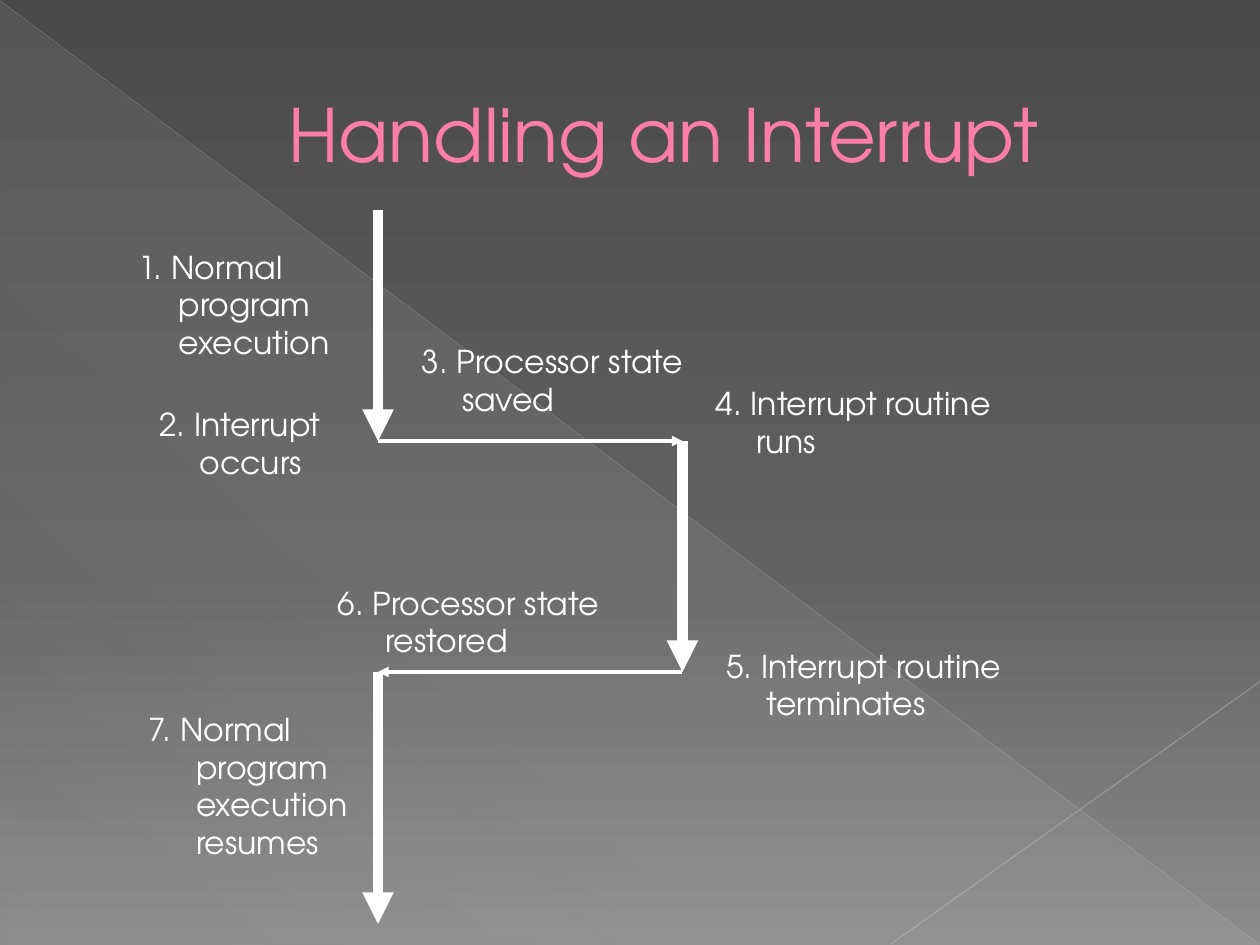
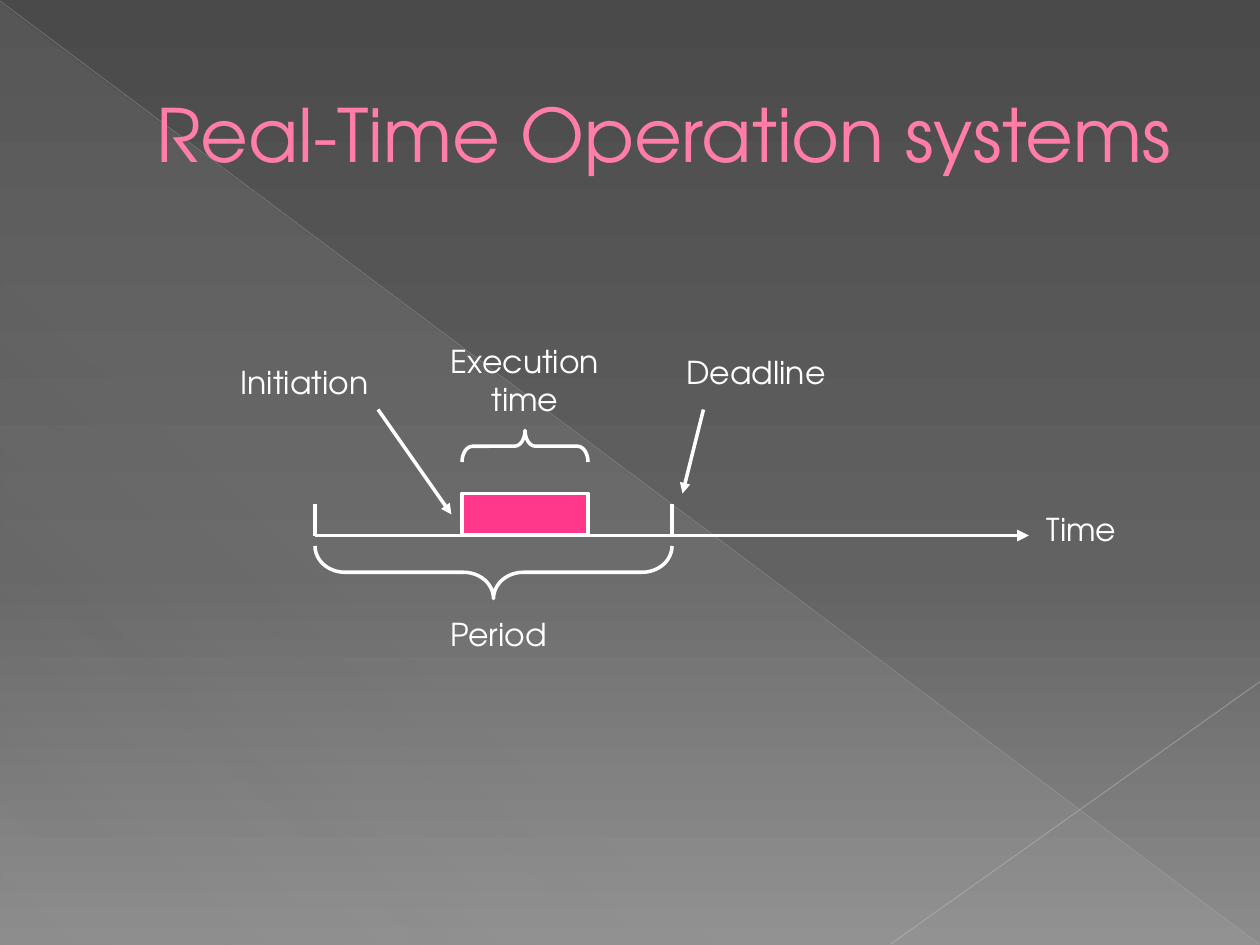
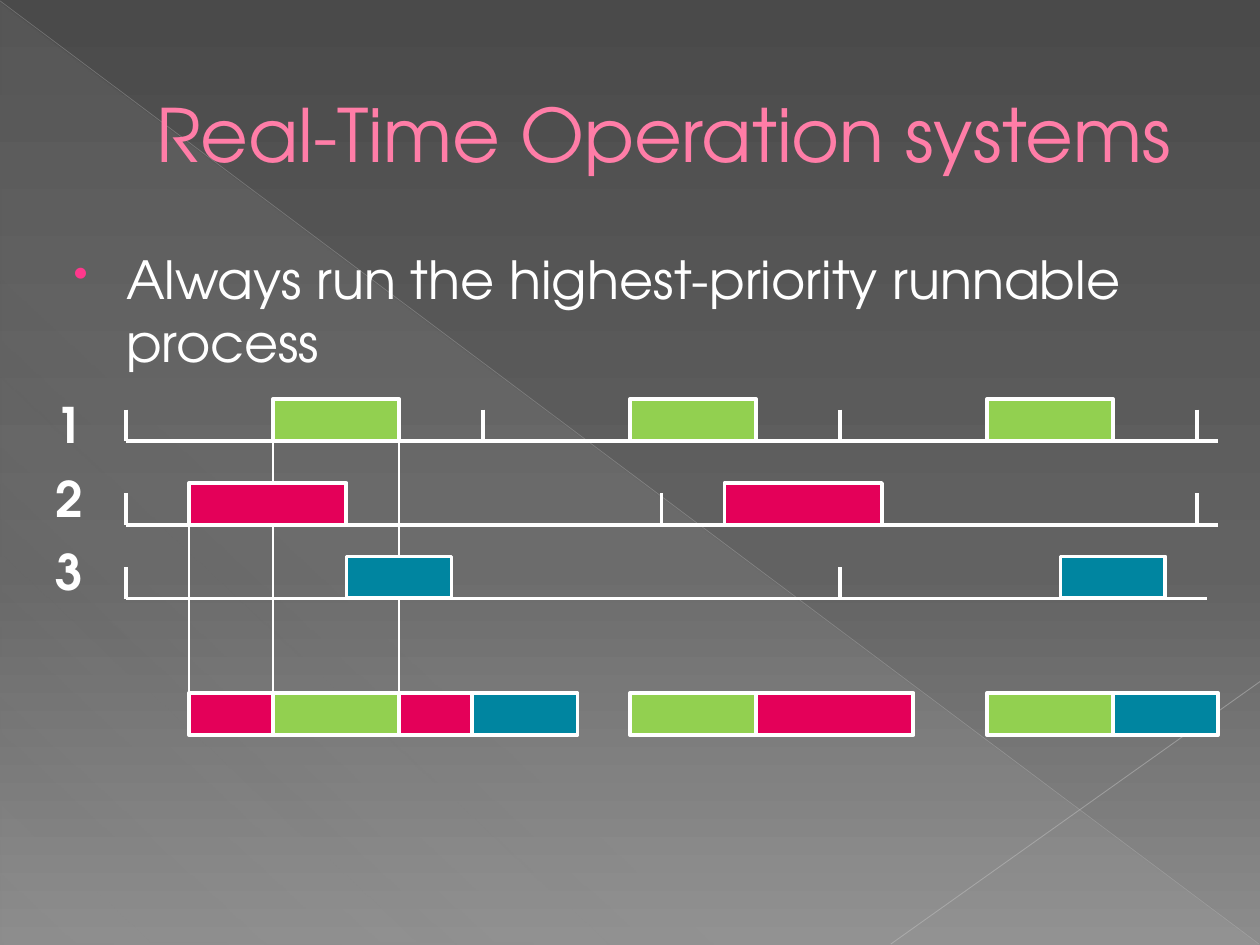
from dataclasses import dataclass

from lxml.etree import SubElement
from pptx import Presentation
from pptx.dml.color import RGBColor
from pptx.enum.shapes import MSO_CONNECTOR, MSO_SHAPE as SHAPE
from pptx.enum.text import MSO_ANCHOR as ANCHOR, MSO_AUTO_SIZE as AUTO, PP_ALIGN as ALIGN
from pptx.oxml.ns import qn
from pptx.util import Pt


@dataclass(frozen=True)
class Theme:
    font: str = "TeX Gyre Adventor"
    white: str = "FFFFFF"
    title: str = "FF7DA7"
    title_edge: str = "B12761"
    accent: str = "FF388C"
    green: str = "92D050"
    crimson: str = "E40059"
    teal: str = "0085A0"
    sheen: str = "D2D2D2"
    diagonal: str = "BFBFBF"
    corner: str = "C6C6C6"
    backdrop: tuple = ((0, "4A4A4A"), (60, "626262"), (100, "8C8C8C"))
    title_size: int = 42
    body_size: int = 30
    row_size: int = 28
    label_size: int = 18
    outline: float = 2.25
    thin: float = 2
    thick: float = 6


T = Theme()
TITLE_ONLY = 5


# Formatting helpers
def set_gradient(fill, root, stops, angle):
    """Fill with stops of (position, colour[, opacity]); angle runs clockwise."""
    fill.gradient()
    fill.gradient_angle = 360 - angle
    stop_list = root.xpath(".//a:gsLst")[0]
    for old in list(stop_list):
        stop_list.remove(old)
    for position, color, *opacity in stops:
        stop = SubElement(stop_list, qn("a:gs"), pos=str(position * 1000))
        clr = SubElement(stop, qn("a:srgbClr"), val=color)
        for value in opacity:
            SubElement(clr, qn("a:alpha"), val=str(value * 1000))


def set_line(line, color, width):
    line.fill.solid()
    line.fill.fore_color.rgb = RGBColor.from_string(color)
    line.width = Pt(width)


def set_indent(p, left, first=0):
    pPr = p._p.get_or_add_pPr()
    pPr.set("marL", str(int(Pt(left))))
    pPr.set("indent", str(int(Pt(first))))
    return pPr


def add_bullet(pPr, char, color, percent):
    clr = SubElement(pPr, qn("a:buClr"))
    SubElement(clr, qn("a:srgbClr"), val=color)
    SubElement(pPr, qn("a:buSzPct"), val=str(percent * 1000))
    SubElement(pPr, qn("a:buChar"), char=char)


def write(p, text, size=T.label_size, color=T.white, bold=False, align=ALIGN.LEFT):
    p.alignment = align
    r = p.add_run()
    r.text = text
    r.font.name = T.font
    r.font.size = Pt(size)
    r.font.bold = bold
    r.font.color.rgb = RGBColor.from_string(color)
    return r


# Elements
def add_text(s, text, left, top, width, height, grow=True, **fmt):
    tf = s.shapes.add_textbox(Pt(left), Pt(top), Pt(width), Pt(height)).text_frame
    tf.word_wrap = True
    tf.auto_size = AUTO.SHAPE_TO_FIT_TEXT if grow else AUTO.NONE
    p = tf.paragraphs[0]
    write(p, text, **fmt)
    return p


def add_line(s, x1, y1, x2, y2, color=T.white, width=T.outline, arrow=False, opacity=None):
    cn = s.shapes.add_connector(MSO_CONNECTOR.STRAIGHT, Pt(x1), Pt(y1), Pt(x2), Pt(y2))
    set_line(cn.line, color, width)
    spPr = cn.element.spPr
    if opacity:
        SubElement(spPr.xpath(".//a:srgbClr")[0], qn("a:alpha"), val=str(opacity * 1000))
    if arrow:
        SubElement(spPr.find(qn("a:ln")), qn("a:tailEnd"), type="triangle")
    SubElement(spPr, qn("a:effectLst"))
    return cn


def add_block(s, left, top, width, color, height=24):
    sp = s.shapes.add_shape(SHAPE.RECTANGLE, Pt(left), Pt(top), Pt(width), Pt(height))
    sp.shadow.inherit = False
    sp.fill.solid()
    sp.fill.fore_color.rgb = RGBColor.from_string(color)
    set_line(sp.line, T.white, T.outline)


def add_brace(s, left, top, width, height, rotation, curve):
    """Lay a left brace on its side so that it spans the given area."""
    shift = (width - height) / 2
    sp = s.shapes.add_shape(SHAPE.LEFT_BRACE, Pt(left + shift), Pt(top - shift),
                            Pt(height), Pt(width))
    sp.rotation = rotation
    sp.adjustments[0] = curve
    sp.shadow.inherit = False
    sp.fill.background()
    set_line(sp.line, T.white, T.thin)


def add_slide(prs, title):
    s = prs.slides.add_slide(prs.slide_layouts[TITLE_ONLY])
    sp = s.shapes.title
    sp.left, sp.top, sp.width, sp.height = Pt(36), Pt(21), Pt(648), Pt(110)
    tf = sp.text_frame
    tf.word_wrap = True
    tf.auto_size = AUTO.NONE
    tf.vertical_anchor = ANCHOR.MIDDLE
    p = tf.paragraphs[0]
    r = write(p, title, size=T.title_size, color=T.title, align=ALIGN.CENTER)
    set_indent(p, 38)
    # Thin text outline, which has to come first in the run properties
    rPr = r._r.get_or_add_rPr()
    ln = SubElement(rPr, qn("a:ln"), w=str(int(Pt(0.5))))
    SubElement(SubElement(ln, qn("a:solidFill")), qn("a:srgbClr"), val=T.title_edge)
    rPr.insert(0, ln)
    return s


def decorate_master(prs, s):
    """Give the master its background and decor; the decor is drawn on s, then moved."""
    master = prs.slide_master
    set_gradient(master.background.fill, master.element, T.backdrop, 90)
    sheen = s.shapes.add_shape(SHAPE.RIGHT_TRIANGLE, Pt(0.5), Pt(1.5), Pt(719), Pt(538.5))
    sheen.shadow.inherit = False
    sheen.line.fill.background()
    set_gradient(sheen.fill, sheen.element,
                 ((0, T.sheen, 10), (70, T.sheen, 8), (100, T.sheen, 1)), 133)
    diagonal = add_line(s, 0, 0.5, 719.5, 539.5, T.diagonal, 0.4, opacity=35)
    corner = add_line(s, 720, 389.5, 509, 539.5, T.corner, 0.5, opacity=45)
    for number, sp in enumerate((sheen, diagonal, corner)):
        sp.element.xpath(".//p:cNvPr")[0].set("id", str(101 + number))
        master.shapes.element.insert(2 + number, sp.element)


# Slides
def interrupt_slide(prs):
    s = add_slide(prs, "Handling an Interrupt")
    main_x, routine_x = 216, 390
    start, interrupt, resume, end = 120, 252, 384, 528
    for x, top, bottom in ((main_x, start, interrupt), (main_x, resume, end),
                           (routine_x, interrupt, resume)):
        add_line(s, x, top, x, bottom, width=T.thick, arrow=True)
    add_line(s, main_x, interrupt, routine_x, interrupt, width=T.thin, arrow=True)
    add_line(s, routine_x, resume, main_x, resume, width=T.thin, arrow=True)

    steps = (  # text, left, top, width, height, hanging indent
        ("Normal program execution", 72, 138, 168, 74, 23),
        ("Interrupt occurs", 84, 228, 132, 52, 23),
        ("Processor state saved", 234, 192, 168, 52, 23),
        ("Interrupt routine runs", 402, 216, 210, 52, 23),
        ("Interrupt routine terminates", 408, 366, 204, 52, 23),
        ("Processor state restored", 186, 330, 180, 52, 27),
        ("Normal program execution resumes", 78, 402, 144, 96, 27),
    )
    for number, (text, left, top, width, height, hang) in enumerate(steps, 1):
        p = add_text(s, f"{number}. {text}", left, top, width, height)
        set_indent(p, hang, -hang)
    return s


def period_slide(prs):
    s = add_slide(prs, "Real-Time Operation systems")
    axis, start, deadline = 306, 180, 384
    add_line(s, start, axis, 588, axis, arrow=True)
    for x in (start, deadline):
        add_line(s, x, axis - 18, x, axis)
    add_block(s, 264, axis - 24, 72, T.accent)
    add_brace(s, start, axis + 6, deadline - start, 30, 270, 0.57)
    add_brace(s, 264, 246, 72, 18, 90, 0.33)
    add_line(s, 402, 234, 390, 282, width=T.thin, arrow=True)
    add_line(s, 216, 234, 258, 294, width=T.thin, arrow=True)
    for text, left, top, width, height in (
            ("Execution time", 234, 192, 132, 52), ("Period", 216, 348, 138, 29.5),
            ("Deadline", 366, 198, 132, 29.5), ("Time", 552, 288, 132, 29.5),
            ("Initiation", 108, 204, 132, 29.5)):
        add_text(s, text, left, top, width, height, align=ALIGN.CENTER)


def priority_slide(prs):
    s = add_slide(prs, "Real-Time Operation systems")
    p = add_text(s, "Always run the highest-priority runnable process",
                 30, 137.5, 657, 402.5, grow=False, size=T.body_size)
    p.space_before = Pt(6)
    add_bullet(set_indent(p, 35, -30), "•", T.accent, 80)

    # Guides from the process rows down to the schedule
    for x, top, bottom in ((108, 294, 414), (156, 252, 396), (228, 252, 396)):
        add_line(s, x, top, x, bottom, width=1)

    # Process rows: baseline, right end, period, first run, run length, colour
    start, last = 72, 684
    rows = ((252, 696, 204, 156, 72, T.green),
            (300, 696, 306, 108, 90, T.crimson),
            (342, 690, 408, 198, 60, T.teal))
    for number, (base, end, period, first, length, color) in enumerate(rows, 1):
        add_line(s, start, base, end, base)
        for tick in range(start, last + 1, period):
            add_line(s, tick, base - 18, tick, base)
        for left in range(first, last, period):
            add_block(s, left, base - 24, length, color)
        add_text(s, str(number), 24.5, 180 + 42 * number, 42, 36, size=T.row_size, bold=True)

    # Resulting schedule; the green run interrupts the first crimson one
    for left, width, color in (
            (108, 90, T.crimson), (228, 42, T.crimson), (156, 72, T.green),
            (270, 60, T.teal), (360, 72, T.green), (432, 90, T.crimson),
            (564, 72, T.green), (636, 60, T.teal)):
        add_block(s, left, 396, width, color)


def main():
    prs = Presentation()
    prs.slide_width, prs.slide_height = Pt(720), Pt(540)
    decorate_master(prs, interrupt_slide(prs))
    period_slide(prs)
    priority_slide(prs)
    prs.save("out.pptx")


main()
